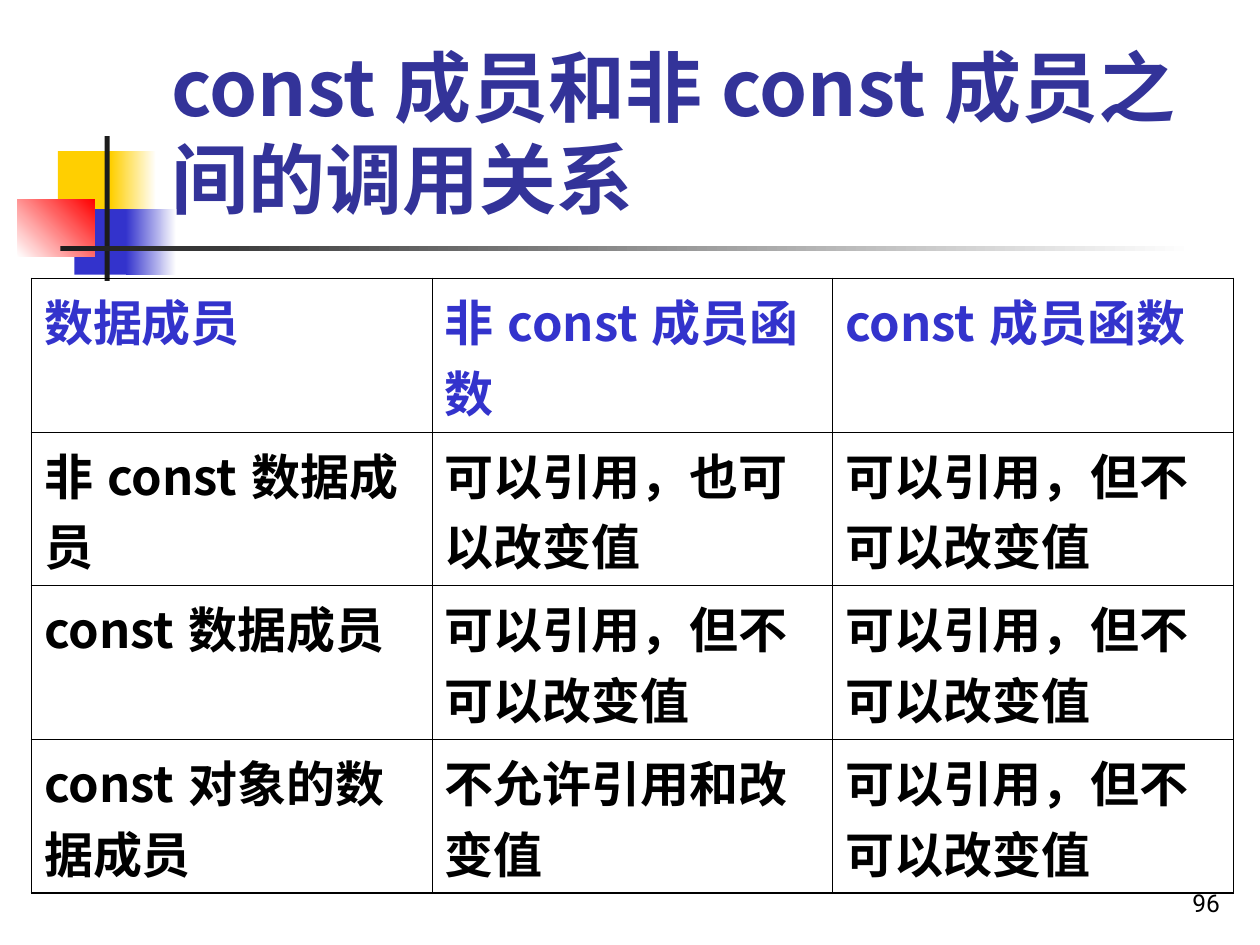
from lxml import etree
from pptx import Presentation
from pptx.dml.color import RGBColor
from pptx.enum.shapes import MSO_SHAPE
from pptx.enum.text import MSO_ANCHOR, MSO_AUTO_SIZE, PP_ALIGN
from pptx.oxml.ns import qn
from pptx.util import Inches, Pt

RECT = MSO_SHAPE.RECTANGLE
BOTTOM = MSO_ANCHOR.BOTTOM
NO_FIT = MSO_AUTO_SIZE.NONE
LEFT, RIGHT = PP_ALIGN.LEFT, PP_ALIGN.RIGHT

COLORS = {
    "yellow": "FFCF01",
    "blue": "3333CC",
    "red": "FF0000",
    "dark": "1C1C1C",
    "white": "FFFFFF",
    "title": "333399",
    "black": "000000",
}
CJK_FONT = "Noto Sans CJK SC"
NUMBER_FONT = "Roboto"
THICK, THIN = 1.08, 0.45
ROW_HEIGHT = 1.22

DECORATIONS = [
    ((0.46, 1.2, 0.48, 0.52), ("yellow",), 0),
    ((0.88, 1.2, 0.36, 0.52), ("yellow", "white"), 0),
    ((0.59, 1.66, 0.46, 0.52), ("blue",), 0),
    ((1, 1.66, 0.4, 0.52), ("blue", "white"), 0),
    ((0.14, 1.58, 0.61, 0.46), ("white", "red"), 45),
    ((0.83, 1.08, 0.04, 1.15), ("dark",), 0),
    ((0.48, 1.95, 9, 0.04), ("dark", "white"), 0),
]
ROWS = [
    ["数据成员", "非const成员函数", "const成员函数"],
    ["非const数据成员", "可以引用，也可以改变值", "可以引用，但不可以改变值"],
    ["const数据成员", "可以引用，但不可以改变值", "可以引用，但不可以改变值"],
    ["const对象的数据成员", "不允许引用和改变值", "可以引用，但不可以改变值"],
]


def rgb(name):
    return RGBColor.from_string(COLORS[name])


def add_run(p, text, size, font, color, bold=False):
    r = p.add_run()
    r.text = text
    r.font.size = Pt(size)
    r.font.name = font
    r.font.bold = bold
    r.font.color.rgb = rgb(color)
    ea = etree.SubElement(r.font._element, qn("a:ea"))
    ea.set("typeface", font)


def add_decoration(s, box, colors, angle):
    sp = s.shapes.add_shape(RECT, *map(Inches, box))
    sp.shadow.inherit = False
    sp.line.fill.background()
    if len(colors) == 1:
        sp.fill.solid()
        sp.fill.fore_color.rgb = rgb(colors[0])
        return
    sp.fill.gradient()
    sp.fill.gradient_angle = angle
    for stop, color in zip(sp.fill.gradient_stops, colors):
        stop.color.rgb = rgb(color)


def set_title(s, text):
    sp = s.shapes.title
    sp.left, sp.top, sp.width, sp.height = map(Inches, (1.26, 0.23, 8.52, 1.6))
    tf = sp.text_frame
    tf.auto_size = NO_FIT
    tf.vertical_anchor = BOTTOM
    p = tf.paragraphs[0]
    p.alignment = LEFT
    p.line_spacing = 1.0
    add_run(p, text, 44, CJK_FONT, "title", True)


def add_page_number(s, text):
    tf = s.shapes.add_textbox(*map(Inches, (7.7, 6.83, 2.08, 0.5))).text_frame
    tf.word_wrap = True
    tf.vertical_anchor = BOTTOM
    p = tf.paragraphs[0]
    p.alignment = RIGHT
    add_run(p, text, 14, NUMBER_FONT, "black")


def set_borders(cell, widths):
    tcPr = cell._tc.get_or_add_tcPr()
    for side, width in widths.items():
        ln = etree.SubElement(tcPr, qn("a:ln" + side), w=str(Pt(width)))
        fill = etree.SubElement(ln, qn("a:solidFill"))
        etree.SubElement(fill, qn("a:srgbClr"), val=COLORS["black"])


def add_member_table(s):
    n_rows, n_cols = len(ROWS), len(ROWS[0])
    box = map(Inches, (0.25, 2.21, 9.54, n_rows * ROW_HEIGHT))
    table = s.shapes.add_table(n_rows, n_cols, *box).table
    table.first_row = False
    table.horz_banding = False
    for i, texts in enumerate(ROWS):
        for j, text in enumerate(texts):
            cell = table.cell(i, j)
            set_borders(cell, {
                "L": THICK if j == 0 else THIN,
                "R": THICK if j == n_cols - 1 else THIN,
                "T": THICK if i == 0 else THIN,
                "B": THICK if i == n_rows - 1 else THIN,
            })
            cell.fill.background()
            color = "blue" if i == 0 else "black"
            add_run(cell.text_frame.paragraphs[0], text, 28, CJK_FONT, color, True)


def main():
    prs = Presentation()
    prs.slide_width, prs.slide_height = Inches(10), Inches(7.5)
    s = prs.slides.add_slide(prs.slide_layouts[5])
    for box, colors, angle in DECORATIONS:
        add_decoration(s, box, colors, angle)
    add_page_number(s, "96")
    set_title(s, "const成员和非const成员之间的调用关系")
    add_member_table(s)
    prs.save("out.pptx")


if __name__ == "__main__":
    main()
